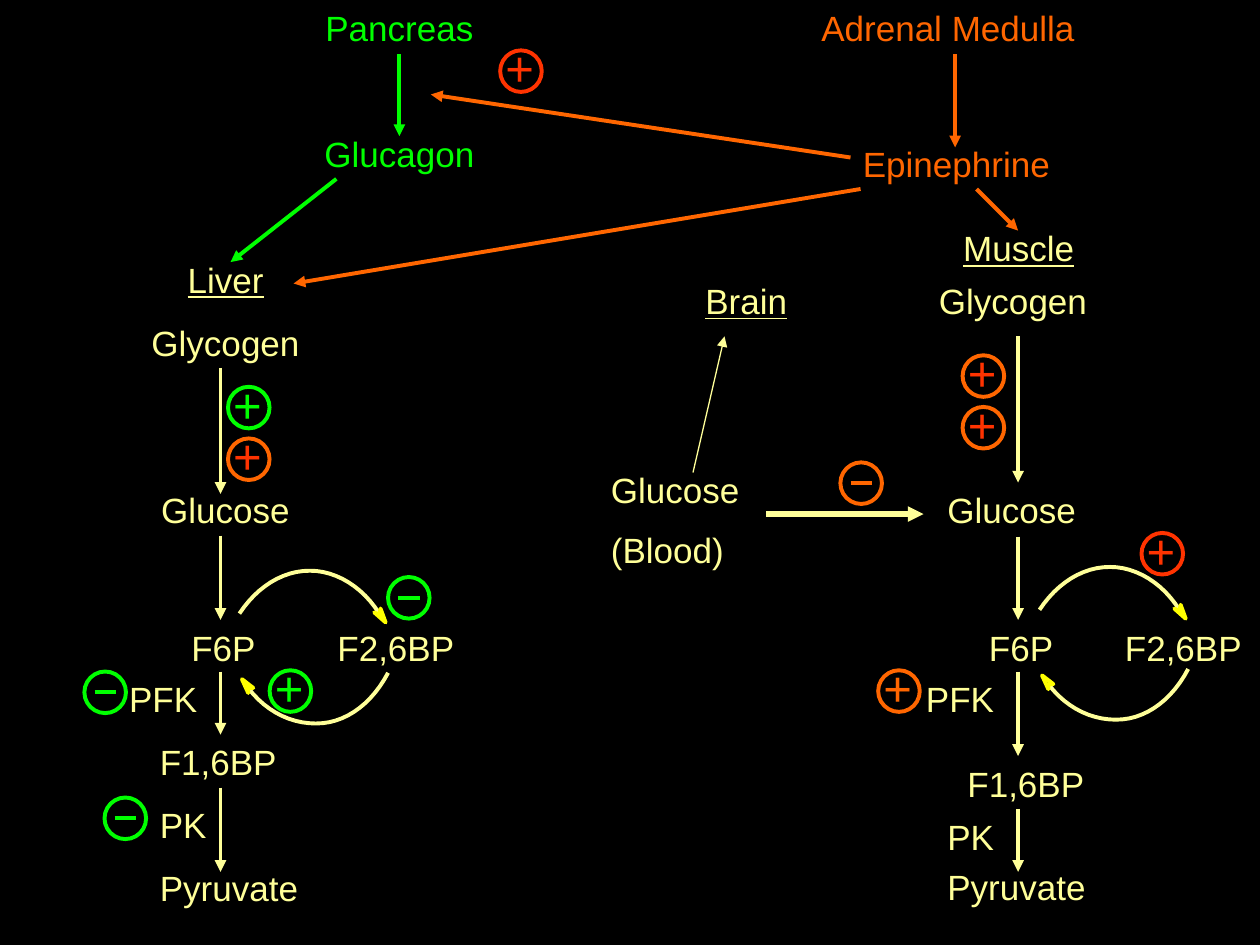
from lxml import etree
from pptx import Presentation
from pptx.dml.color import RGBColor
from pptx.enum.shapes import MSO_CONNECTOR, MSO_SHAPE
from pptx.enum.text import MSO_AUTO_SIZE, PP_ALIGN
from pptx.oxml.ns import qn
from pptx.util import Inches, Pt

STRAIGHT = MSO_CONNECTOR.STRAIGHT
OVAL = MSO_SHAPE.OVAL
FIT_SHAPE = MSO_AUTO_SIZE.SHAPE_TO_FIT_TEXT
LEFT, CENTER = PP_ALIGN.LEFT, PP_ALIGN.CENTER
TOP_SIDE, BOTTOM_SIDE = 0, 2

GREEN, ORANGE, RED = "00FF00", "FF6600", "FF3300"
CREAM, YELLOW, BLACK = "FFFF99", "FFFF00", "000000"
LINE_WIDTH = 2.25
RING = 0.33

prs = Presentation()
prs.slide_width, prs.slide_height = Inches(10), Inches(7.5)
slide = prs.slides.add_slide(prs.slide_layouts[6])
slide.background.fill.solid()
slide.background.fill.fore_color.rgb = RGBColor.from_string(BLACK)
shapes = slide.shapes


def add_text(text, left, top, width, height, color, align, size=20, wrap=True):
    box = shapes.add_textbox(Inches(left), Inches(top), Inches(width), Inches(height))
    frame = box.text_frame
    frame.text = text
    frame.word_wrap = wrap
    frame.auto_size = FIT_SHAPE
    for index, paragraph in enumerate(frame.paragraphs):
        paragraph.alignment = align
        if index:
            paragraph.space_before = Pt(10)
        for run in paragraph.runs:
            run.font.name = "Arial"
            run.font.size = Pt(size)
            run.font.color.rgb = RGBColor.from_string(color)
    return box


def add_line(x1, y1, x2, y2, color, width=LINE_WIDTH, arrow=True):
    line = shapes.add_connector(STRAIGHT, Inches(x1), Inches(y1), Inches(x2), Inches(y2))
    line.line.color.rgb = RGBColor.from_string(color)
    line.line.width = Pt(width)
    if arrow:
        etree.SubElement(line.line._get_or_add_ln(), qn("a:tailEnd"), type="triangle")
    etree.SubElement(line._element.spPr, qn("a:effectLst"))
    return line


# Hormones, tissues and metabolites
labels = {}
for text, left, top, width, color, align in [
    ("Pancreas", 2.08, 0, 2.18, GREEN, CENTER),
    ("Glucagon", 2.42, 1, 1.5, GREEN, CENTER),
    ("Adrenal Medulla", 6.42, 0, 2.32, ORANGE, LEFT),
    ("Epinephrine", 6.75, 1.08, 2.5, ORANGE, LEFT),
    ("Liver", 0.58, 2, 2.42, CREAM, CENTER),
    ("Glycogen", 0.58, 2.5, 2.42, CREAM, CENTER),
    ("Glucose", 1, 3.83, 1.58, CREAM, CENTER),
    ("F6P", 1.42, 4.92, 1, CREAM, LEFT),
    ("F2,6BP", 2.58, 4.92, 1.33, CREAM, LEFT),
    ("PFK", 0.92, 5.33, 0.75, CREAM, CENTER),
    ("F1,6BP", 1.17, 5.83, 1.33, CREAM, LEFT),
    ("PK", 1.17, 6.33, 0.58, CREAM, LEFT),
    ("Pyruvate", 1.17, 6.83, 1.83, CREAM, LEFT),
    ("Brain", 5.5, 2.17, 1.5, CREAM, LEFT),
    ("Muscle", 7.17, 1.75, 1.83, CREAM, CENTER),
    ("Glycogen", 7, 2.17, 2.08, CREAM, CENTER),
    ("Glucose", 7.42, 3.83, 1.32, CREAM, LEFT),
    ("F6P", 7.75, 4.92, 0.92, CREAM, LEFT),
    ("F2,6BP", 8.83, 4.92, 1.17, CREAM, LEFT),
    ("PFK", 7.25, 5.33, 0.75, CREAM, LEFT),
    ("F1,6BP", 7.58, 6, 1.33, CREAM, LEFT),
    ("PK", 7.42, 6.42, 0.83, CREAM, LEFT),
    ("Pyruvate", 7.42, 6.82, 1.5, CREAM, LEFT),
]:
    label = add_text(text, left, top, width, 0.43, color, align)
    if text in ("Liver", "Brain", "Muscle"):
        label.text_frame.paragraphs[0].runs[0].font.underline = True
    labels[text, left] = label
add_text("Glucose\n(Blood)", 4.75, 3.67, 1.25, 0.93, CREAM, LEFT)

# Hormone release and action
pancreas_release = add_line(3.17, 0.42, 3.17, 1.08, GREEN)
pancreas_release.begin_connect(labels["Pancreas", 2.08], BOTTOM_SIDE)
adrenal_release = add_line(7.58, 0.42, 7.58, 1.17, ORANGE)
adrenal_release.begin_connect(labels["Adrenal Medulla", 6.42], BOTTOM_SIDE)
add_line(2.67, 1.42, 1.83, 2.08, GREEN)
for x1, y1, x2, y2 in [
    (6.75, 1.25, 3.42, 0.75),
    (6.83, 1.5, 2.33, 2.25),
    (7.75, 1.5, 8.08, 1.83),
]:
    add_line(x1, y1, x2, y2, ORANGE)

# Pathway steps in liver and muscle
for x, steps in [
    (1.75, [(2.92, 3.92), (4.25, 4.92), (5.33, 5.83), (6.25, 6.92)]),
    (8.08, [(5.33, 6), (6.42, 6.92)]),
]:
    for start, end in steps:
        add_line(x, start, x, end, CREAM)
muscle_glucose = labels["Glucose", 7.42]
add_line(8.08, 2.67, 8.08, 3.83, CREAM).end_connect(muscle_glucose, TOP_SIDE)
add_line(8.08, 4.25, 8.08, 4.92, CREAM).begin_connect(muscle_glucose, BOTTOM_SIDE)

# Blood glucose to muscle and brain
add_line(6.08, 4.08, 7.33, 4.08, CREAM, width=3)
add_line(5.5, 3.75, 5.75, 2.67, CREAM, width=0.75)

# F6P / F2,6BP cycles: Bezier arcs sampled into points, each with its arrow tip
ARCS = [
    [(8.25, 4.84), (8.39, 4.63), (8.59, 4.5), (8.81, 4.5),
     (9.02, 4.5), (9.23, 4.63), (9.36, 4.84)],
    [(9.43, 5.31), (9.31, 5.54), (9.12, 5.69), (8.91, 5.71),
     (8.69, 5.73), (8.47, 5.63), (8.32, 5.43)],
]
TIPS = [
    [(9.37, 4.8), (9.41, 4.91), (9.32, 4.83), (9.36, 4.85)],
    [(8.32, 5.47), (8.27, 5.36), (8.36, 5.43), (8.32, 5.43)],
]
STEPS = 12
outlines = []
for arc, tip in zip(ARCS, TIPS):
    curve = [arc[0]]
    for first in (0, 3):
        for step in range(1, STEPS + 1):
            t = step / STEPS
            weights = ((1 - t) ** 3, 3 * t * (1 - t) ** 2, 3 * t * t * (1 - t), t ** 3)
            controls = arc[first:first + 4]
            curve.append(tuple(sum(w * point[axis] for w, point in zip(weights, controls))
                               for axis in (0, 1)))
    outlines += [(curve, False, CREAM), (tip, True, YELLOW)]

for dx, dy in [(0, 0), (-6.35, 0.03)]:
    for points, closed, color in outlines:
        moved = [(Inches(x + dx), Inches(y + dy)) for x, y in points]
        builder = shapes.build_freeform(*moved[0])
        builder.add_line_segments(moved[1:], close=closed)
        outline = builder.convert_to_shape()
        outline.shadow.inherit = False
        outline.line.color.rgb = RGBColor.from_string(color)
        outline.line.width = Pt(LINE_WIDTH)
        if closed:
            outline.fill.solid()
            outline.fill.fore_color.rgb = RGBColor.from_string(BLACK)
        else:
            outline.fill.background()

# Activation (+) and inhibition (-) marks
for sign, left, top, ring_color, sign_color in [
    ("+", 3.97, 0.4, RED, RED),
    ("+", 1.81, 3.07, GREEN, GREEN),
    ("+", 1.81, 3.48, ORANGE, RED),
    ("+", 2.14, 5.32, GREEN, GREEN),
    ("+", 7.64, 2.82, ORANGE, RED),
    ("+", 7.64, 3.23, ORANGE, RED),
    ("+", 9.06, 4.23, RED, RED),
    ("+", 6.97, 5.32, ORANGE, ORANGE),
    ("-", 0.67, 5.33, GREEN, GREEN),
    ("-", 0.83, 6.33, GREEN, GREEN),
    ("-", 3.08, 4.58, GREEN, GREEN),
    ("-", 6.67, 3.67, ORANGE, ORANGE),
]:
    if sign == "+":
        add_text(sign, left - 0.06, top - 0.15, 0.43, 0.57, sign_color, CENTER,
                 size=28, wrap=False)
    else:
        middle = top + RING / 2
        add_line(left + 0.08, middle, left + 0.25, middle, sign_color, arrow=False)
    ring = shapes.add_shape(OVAL, Inches(left), Inches(top), Inches(RING), Inches(RING))
    ring.shadow.inherit = False
    ring.fill.background()
    ring.line.color.rgb = RGBColor.from_string(ring_color)
    ring.line.width = Pt(LINE_WIDTH)

prs.save("out.pptx")
